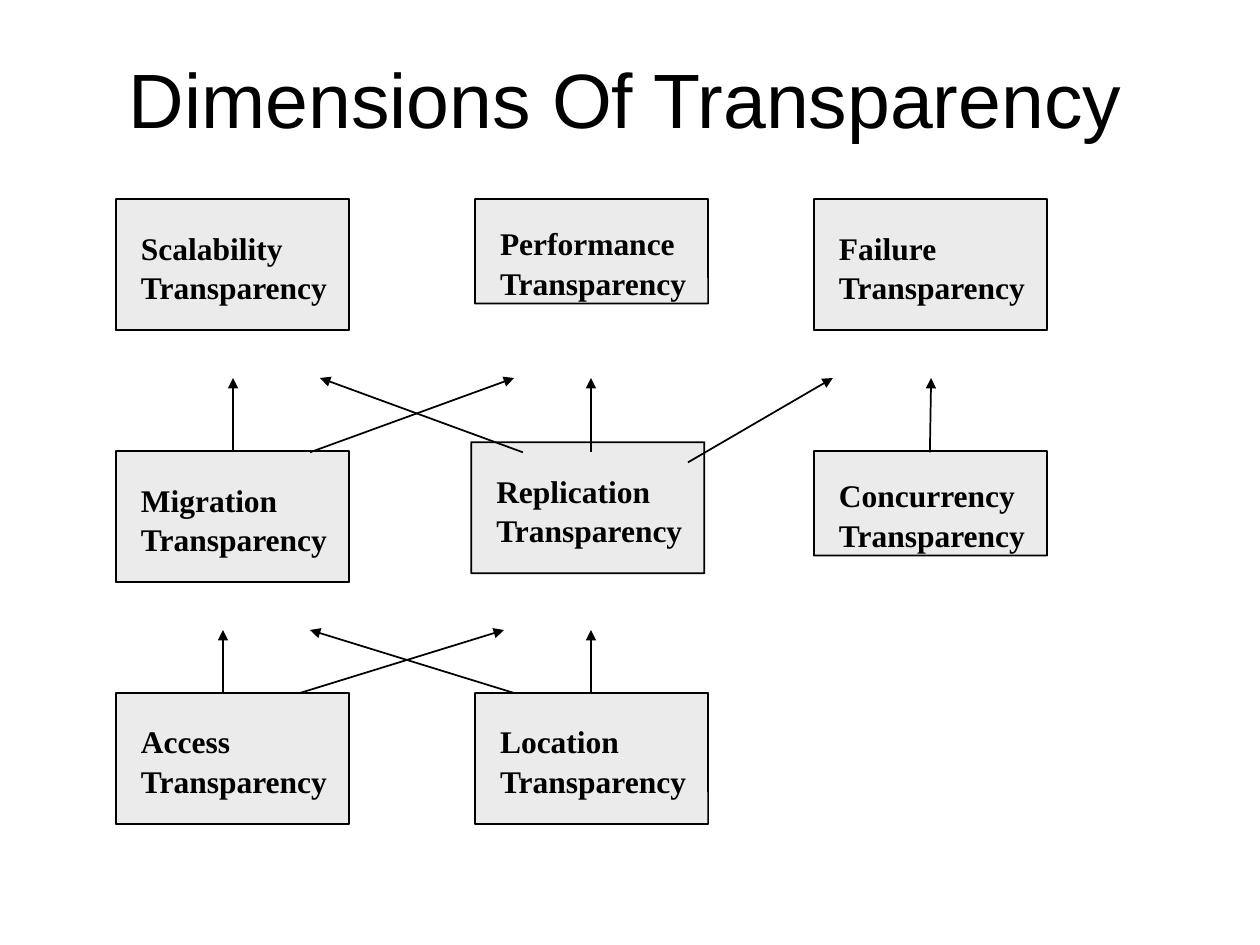
from pptx import Presentation
from pptx.dml.color import RGBColor
from pptx.enum.shapes import MSO_CONNECTOR, MSO_SHAPE
from pptx.enum.text import MSO_ANCHOR, PP_ALIGN
from pptx.oxml.ns import qn
from pptx.util import Inches, Pt
from lxml.etree import SubElement

COLORS = {"ink": "000000", "box": "EBEBEB"}
FONTS = {
    "title": {"name": "Arial", "size": Pt(44), "bold": False},
    "label": {"name": "Times New Roman", "size": Pt(18), "bold": True},
}
BOX_WIDTH, TALL, SHORT = 1.85, 1.04, 0.83
LEFT, MIDDLE, RIGHT = 0.92, 3.77, 6.46
TOP, CENTER, BOTTOM = 1.58, 3.58, 5.5

# name, left, top, height
DIMENSIONS = [
    ("Scalability", LEFT, TOP, TALL),
    ("Migration", LEFT, CENTER, TALL),
    ("Access", LEFT, BOTTOM, TALL),
    ("Performance", MIDDLE, TOP, SHORT),
    ("Replication", 3.74, 3.51, TALL),
    ("Location", MIDDLE, BOTTOM, TALL),
    ("Failure", RIGHT, TOP, TALL),
    ("Concurrency", RIGHT, CENTER, SHORT),
]

# (start y, end y): [(start x, end x), ...]
ARROWS = {
    (5.5, 5): [(1.77, 1.77), (4.69, 4.69), (2.38, 4), (4.08, 2.46)],
    (3.59, 3): [(1.85, 1.85), (4.69, 4.69), (7.38, 7.39),
                (2.46, 4.08), (4.15, 2.54)],
    (3.67, 3): [(5.46, 6.61)],
}


def color(name):
    return RGBColor.from_string(COLORS[name])


def format_line(line):
    line.color.rgb = color("ink")
    line.width = Pt(1)


def write_text(frame, text, style):
    frame.word_wrap = True
    para = frame.paragraphs[0]
    span = para.add_run()
    span.text = text
    for name, value in FONTS[style].items():
        setattr(span.font, name, value)
    span.font.color.rgb = color("ink")
    return para


def place_title(page, left, top, width, height):
    title = page.shapes.title
    bounds = {"left": left, "top": top, "width": width, "height": height}
    for name, value in bounds.items():
        setattr(title, name, Inches(value))
    para = write_text(title.text_frame, "Dimensions Of Transparency", "title")
    para.alignment = PP_ALIGN.CENTER
    title.text_frame.vertical_anchor = MSO_ANCHOR.BOTTOM


def add_dimension(page, name, left, top, height):
    """Group a grey box with its label, centred vertically in the box."""
    group = page.shapes.add_group_shape()
    box = group.shapes.add_shape(
        MSO_SHAPE.ROUNDED_RECTANGLE,
        Inches(left), Inches(top), Inches(BOX_WIDTH), Inches(height))
    box.adjustments[0] = 0.002
    box.shadow.inherit = False
    box.fill.solid()
    box.fill.fore_color.rgb = color("box")
    format_line(box.line)

    label_height = 0.7
    label_top = top + (height - label_height) / 2 + (0.07 if height == SHORT else 0)
    label = group.shapes.add_textbox(
        Inches(left + 0.1), Inches(label_top),
        Inches(BOX_WIDTH - 0.1), Inches(label_height))
    para = write_text(label.text_frame, f"{name} Transparency", "label")
    para.line_spacing = 1.05


def add_arrow(page, start_x, start_y, end_x, end_y):
    arrow = page.shapes.add_connector(
        MSO_CONNECTOR.STRAIGHT,
        Inches(start_x), Inches(start_y), Inches(end_x), Inches(end_y))
    format_line(arrow.line)
    SubElement(arrow.line._get_or_add_ln(), qn("a:tailEnd"), type="triangle")
    SubElement(arrow._element.spPr, qn("a:effectLst"))


def main():
    deck = Presentation()
    deck.slide_width, deck.slide_height = Inches(10), Inches(7.5)
    page = deck.slides.add_slide(deck.slide_layouts[5])
    place_title(page, 0.59, 0.44, 8.75, 0.75)
    for dimension in DIMENSIONS:
        add_dimension(page, *dimension)
    for (start_y, end_y), spans in ARROWS.items():
        for start_x, end_x in spans:
            add_arrow(page, start_x, start_y, end_x, end_y)
    deck.save("out.pptx")


if __name__ == "__main__":
    main()
